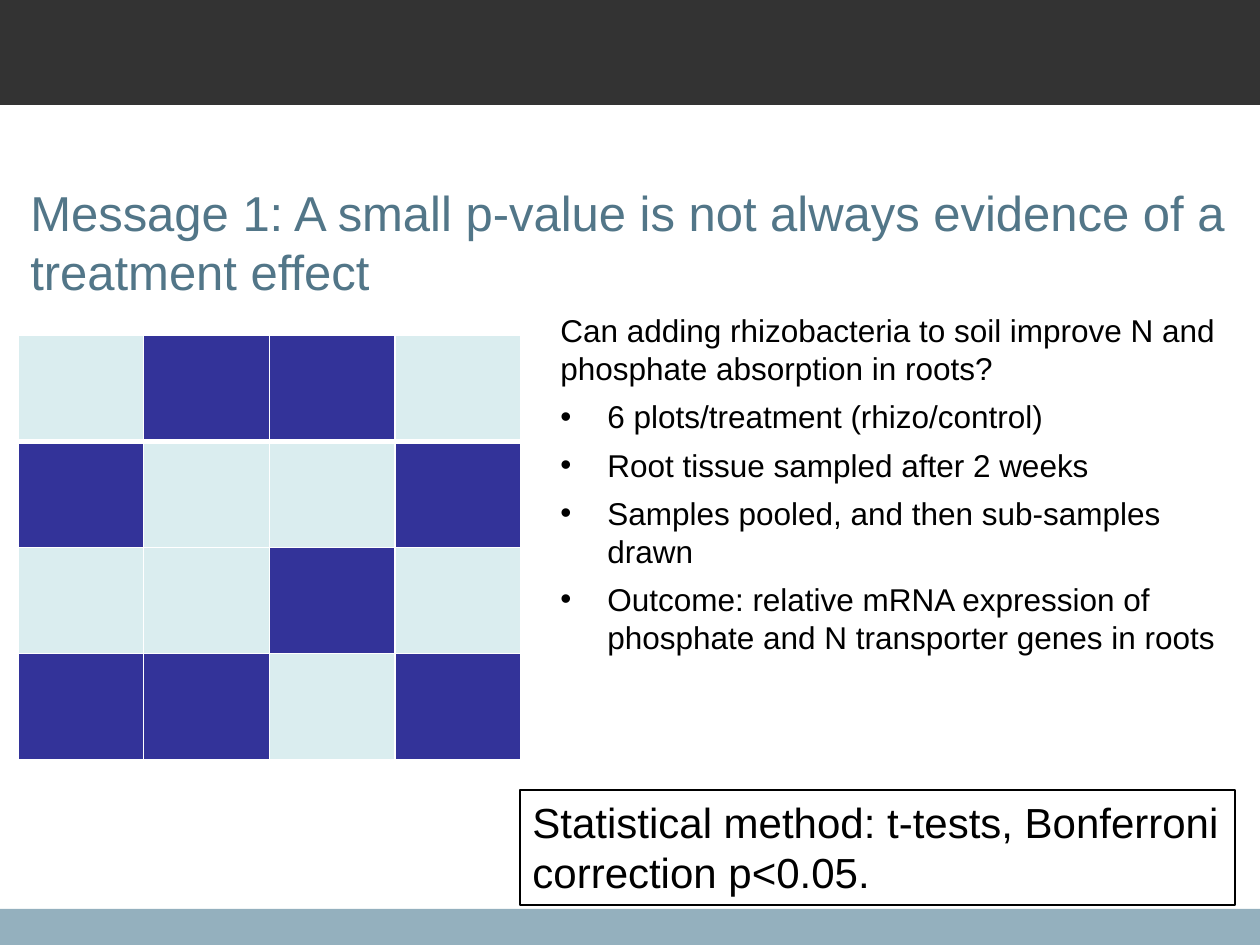
import pptx
import pptx.util
import pptx.dml.color
import pptx.enum.shapes
import pptx.oxml
import pptx.oxml.ns
from lxml import etree

HUES = {
    "dark": "333333", "band": "94B0BE", "title": "527688", "ink": "000000",
    "rhizo": "333399", "control": "DAEDEF", "white": "FFFFFF",
}
FONT = "Arial"
DPI = 126


def px(n):
    return pptx.util.Emu(round(n * 914400 / DPI))


def hue(name):
    return pptx.dml.color.RGBColor.from_string(HUES[name])


class Deck:
    def __init__(self, wide, high):
        self.prs = pptx.Presentation()
        self.prs.slide_width, self.prs.slide_height = px(wide), px(high)
        self.slide = self.prs.slides.add_slide(self.prs.slide_layouts[6])

    def rect(self, box, fill=None, line=None):
        kind = pptx.enum.shapes.MSO_SHAPE.RECTANGLE
        shape = self.slide.shapes.add_shape(kind, *map(px, box))
        shape.shadow.inherit = False
        if fill:
            shape.fill.solid()
            shape.fill.fore_color.rgb = hue(fill)
        else:
            shape.fill.background()
        if line:
            shape.line.color.rgb = hue(line)
            shape.line.width = pptx.util.Pt(0.75)
        else:
            shape.line.fill.background()
        return shape

    def text(self, box, words, size, color="ink", after=0, line=None):
        if line:
            shape = self.rect(box, line=line)
        else:
            shape = self.slide.shapes.add_textbox(*map(px, box))
        frame = shape.text_frame
        frame.word_wrap = True
        frame.vertical_anchor = pptx.enum.text.MSO_ANCHOR.TOP
        frame.text = words
        for para in frame.paragraphs:
            para.alignment = pptx.enum.text.PP_ALIGN.LEFT
            para.space_after = pptx.util.Pt(after)
            for run in para.runs:
                run.font.name = FONT
                run.font.size = pptx.util.Pt(size)
                run.font.color.rgb = hue(color)
        return frame

    def bullet(self, para, indent):
        props = para._p.get_or_add_pPr()
        props.set("marL", str(px(indent)))
        props.set("indent", str(-px(indent)))
        for tag, key, value in (("a:buFont", "typeface", FONT),
                                ("a:buChar", "char", "•")):
            etree.SubElement(props, pptx.oxml.ns.qn(tag)).set(key, value)

    def border(self, cell, widths):
        props = cell._tc.get_or_add_tcPr()
        for i, (side, width) in enumerate(widths.items()):
            props.insert(i, pptx.oxml.parse_xml(
                f'<a:ln{side} {pptx.oxml.ns.nsdecls("a")} w="{pptx.util.Pt(width)}">'
                f'<a:solidFill><a:srgbClr val="{HUES["white"]}"/></a:solidFill>'
                f'</a:ln{side}>'))

    def grid(self, box, rows):
        shape = self.slide.shapes.add_table(len(rows), len(rows[0]), *map(px, box))
        for r, row in enumerate(rows):
            for c, mark in enumerate(row):
                cell = shape.table.cell(r, c)
                cell.fill.solid()
                cell.fill.fore_color.rgb = hue("rhizo" if mark == "R" else "control")
                # A thicker rule sets off the first row
                self.border(cell, {"L": 1, "R": 1, "T": 3 if r == 1 else 1,
                                   "B": 3 if r == 0 else 1})


def main():
    deck = Deck(1260, 945)

    # Bands at foot and head
    deck.rect((0, 909, 1260, 36), fill="band")
    deck.rect((0, 0, 1260, 105), fill="dark")

    # Title
    deck.text((18, 176, 1235, 131),
              "Message 1: A small p-value is not always evidence of a treatment effect",
              28, "title")

    # Method box
    deck.text((520, 790, 715, 115),
              "Statistical method: t-tests, Bonferroni correction p<0.05.",
              24, line="ink")

    # Question and study design
    design = deck.text((548, 305, 704, 360), "\n".join((
        "Can adding rhizobacteria to soil improve N and phosphate absorption in roots?",
        "6 plots/treatment (rhizo/control)",
        "Root tissue sampled after 2 weeks",
        "Samples pooled, and then sub-samples drawn",
        "Outcome: relative mRNA expression of phosphate and N transporter genes in roots",
    )), 18, after=6)
    for para in design.paragraphs[1:]:
        deck.bullet(para, 47)

    # Plot layout: R is rhizobacteria, C is control
    deck.grid((18, 335, 503, 425), ("CRRC", "RCCR", "CCRC", "RRCR"))

    deck.prs.save("out.pptx")


if __name__ == "__main__":
    main()
